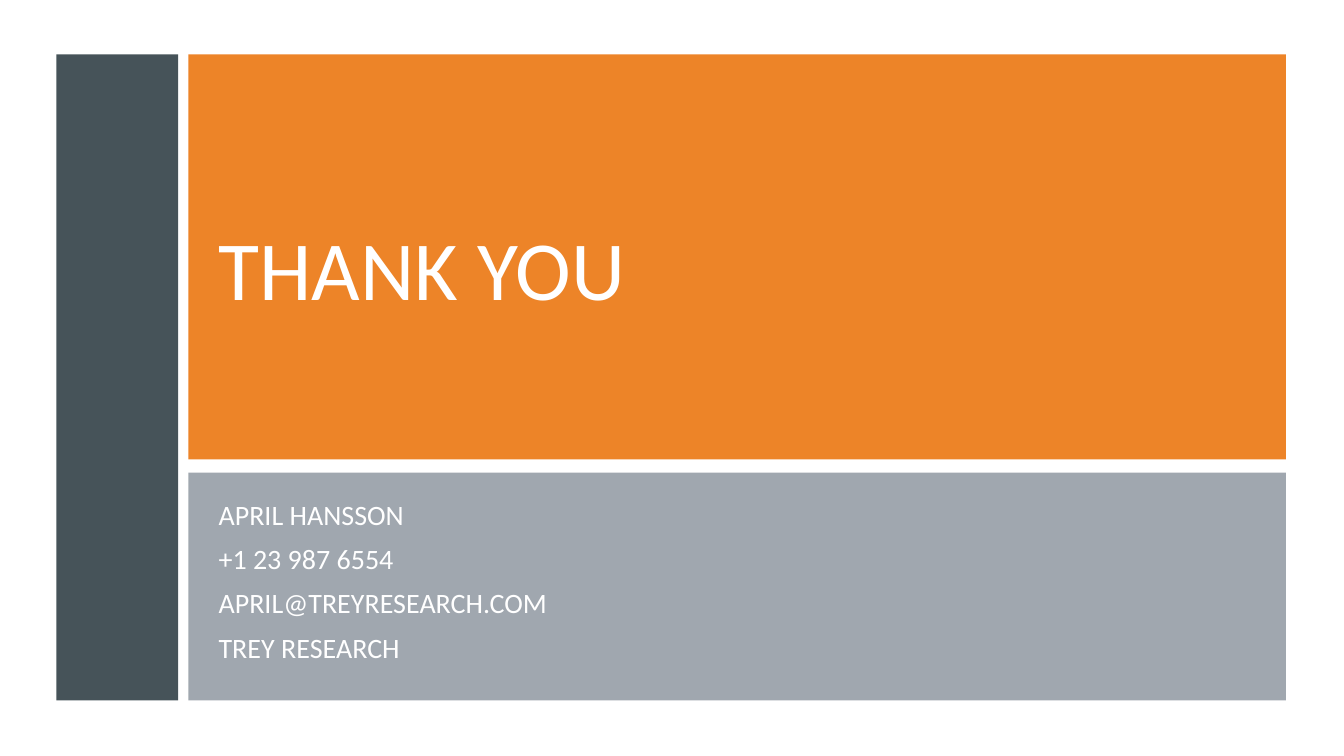
from lxml import etree
from pptx import Presentation
from pptx.dml.color import RGBColor
from pptx.enum.shapes import MSO_SHAPE as Shape
from pptx.enum.text import MSO_ANCHOR as Anchor, PP_ALIGN as Align
from pptx.oxml.ns import qn
from pptx.util import Cm, Pt

WIDTH, HEIGHT = 33.87, 19.05
PANEL_LEFT, PANEL_TOP, PANEL_WIDTH = 4.75, 1.37, 27.66
TEXT_LEFT, TEXT_WIDTH = 5.26, 21.03
CONTACT = ["APRIL HANSSON", "+1 23 987 6554", "APRIL@TREYRESEARCH.COM", "TREY RESEARCH"]


def color(value):
    return RGBColor.from_string(value)


class ClosingSlide:
    font_name = "Calibri"
    text_color = "FFFFFF"

    def __init__(self, slide):
        self.slide = slide

    def panel(self, left, top, width, height, fill, opacity=100):
        shape = self.slide.shapes.add_shape(
            Shape.RECTANGLE, Cm(left), Cm(top), Cm(width), Cm(height))
        shape.shadow.inherit = False
        shape.line.fill.background()
        shape.fill.solid()
        shape.fill.fore_color.rgb = color(fill)
        if opacity < 100:
            fill_color = shape.fill._xPr.find(qn("a:solidFill"))[0]
            etree.SubElement(fill_color, qn("a:alpha")).set("val", str(opacity * 1000))

    def text(self, top, height, lines, size, anchor=Anchor.TOP,
             line_spacing=1.0, before=0, after=0, top_inset=0.13):
        box = self.slide.shapes.add_textbox(
            Cm(TEXT_LEFT), Cm(top), Cm(TEXT_WIDTH), Cm(height))
        frame = box.text_frame
        frame.word_wrap = True
        frame.vertical_anchor = anchor
        frame.margin_top = Cm(top_inset)
        frame.text = "\n".join(lines)
        for index, paragraph in enumerate(frame.paragraphs):
            paragraph.alignment = Align.LEFT
            paragraph.line_spacing = line_spacing
            paragraph.space_before = Pt(before if index else 0)
            paragraph.space_after = Pt(after)
            paragraph.font.name = self.font_name
            paragraph.font.size = Pt(size)
            paragraph.font.color.rgb = color(self.text_color)


def main():
    presentation = Presentation()
    presentation.slide_width, presentation.slide_height = Cm(WIDTH), Cm(HEIGHT)
    closing = ClosingSlide(presentation.slides.add_slide(presentation.slide_layouts[6]))

    # Backdrop and side bar
    closing.panel(0, 0, WIDTH, HEIGHT, "FFFFFF")
    closing.panel(1.42, PANEL_TOP, 3.07, 16.28, "465359")

    # Title
    closing.panel(PANEL_LEFT, PANEL_TOP, PANEL_WIDTH, 10.21, "ED8428")
    closing.text(1.96, 9.25, ["THANK YOU"], 60, anchor=Anchor.MIDDLE, top_inset=0.4)

    # Contact details
    closing.panel(PANEL_LEFT, 11.91, PANEL_WIDTH, 5.74, "89929B", opacity=80)
    closing.text(12.5, 4.55, CONTACT, 20, line_spacing=0.9, before=4, after=6)

    presentation.save("out.pptx")


if __name__ == "__main__":
    main()
